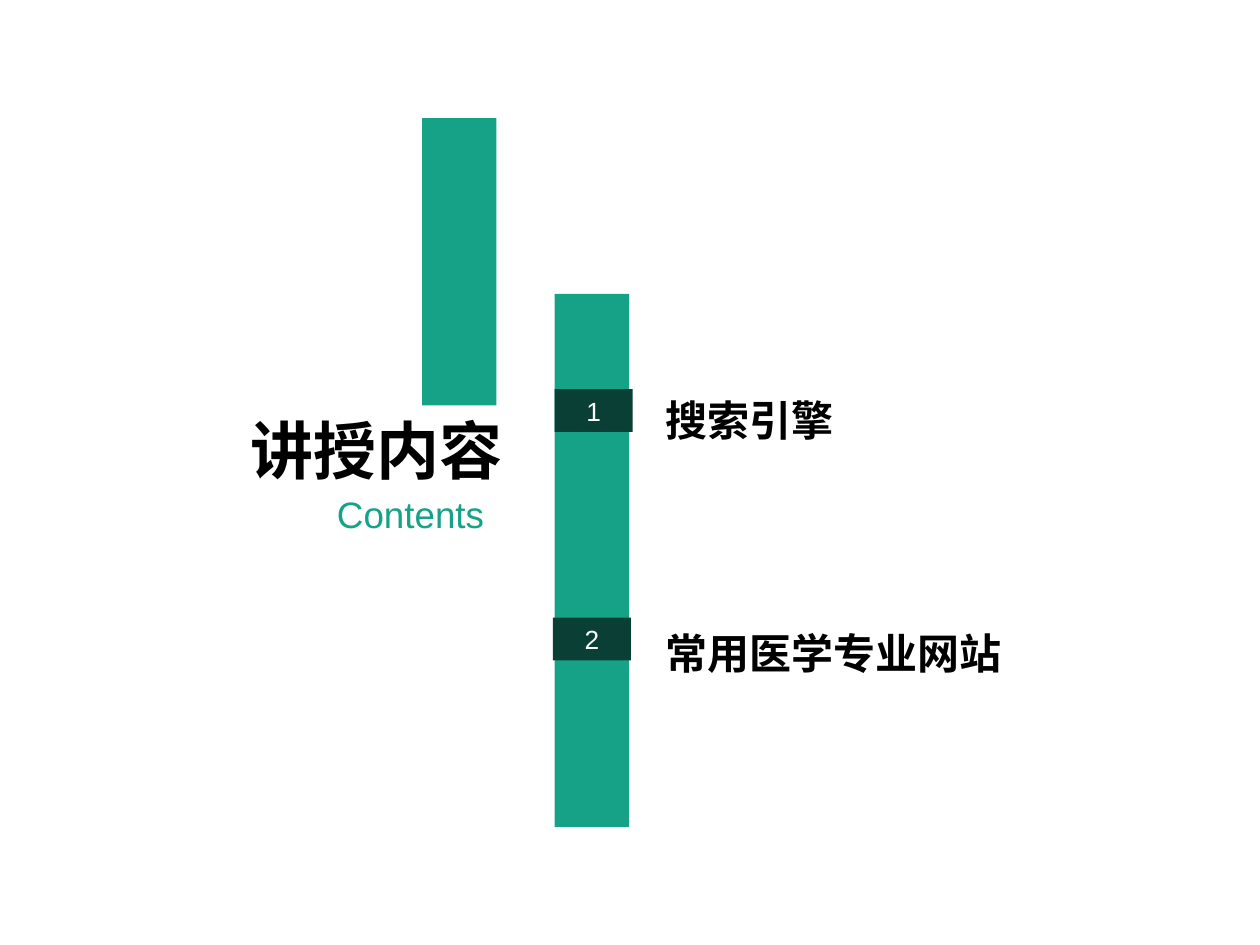
"""Build a contents slide with a two-entry timeline."""
from dataclasses import dataclass

from lxml.etree import SubElement
from pptx import Presentation
from pptx.dml.color import RGBColor
from pptx.enum.shapes import MSO_SHAPE as Preset
from pptx.enum.text import MSO_ANCHOR as Anchor, MSO_AUTO_SIZE as AutoSize, PP_ALIGN as Align
from pptx.oxml.ns import qn
from pptx.shapes.autoshape import Shape
from pptx.slide import Slide
from pptx.util import Pt

GREEN = RGBColor(0x16, 0xA2, 0x87)
DARK_GREEN = RGBColor(0x09, 0x3F, 0x35)
BLACK = RGBColor(0, 0, 0)
WHITE = RGBColor(255, 255, 255)
LATIN_FONT = "Arial"
CHINESE_FONT = "Noto Sans CJK SC"


@dataclass(frozen=True)
class Box:
    left: float
    top: float
    width: float
    height: float

    def lengths(self) -> tuple[Pt, Pt, Pt, Pt]:
        return Pt(self.left), Pt(self.top), Pt(self.width), Pt(self.height)


@dataclass(frozen=True)
class Entry:
    number: str
    text: str
    badge: Box
    label: Box


BARS = (Box(241.2, 67.5, 42.5, 164.2), Box(317, 168, 42.5, 304.6))
ENTRIES = (
    Entry("1", "搜索引擎", Box(317, 222.4, 44.6, 24.4), Box(373, 208.1, 221.8, 41)),
    Entry("2", "常用医学专业网站", Box(315.9, 353, 44.6, 24.4), Box(373, 341.3, 297.4, 44.6)),
)


def place(shape: Shape, box: Box) -> None:
    shape.left, shape.top, shape.width, shape.height = box.lengths()


def write(shape: Shape, text: str, *, size: float, color: RGBColor, font: str = LATIN_FONT,
          bold: bool = False, align: Align = Align.LEFT, anchor: Anchor = Anchor.TOP,
          line_spacing: float = 1.0, top_inset: float = 3.6) -> None:
    frame = shape.text_frame
    frame.word_wrap = True
    frame.auto_size = AutoSize.NONE
    frame.vertical_anchor = anchor
    frame.margin_top = Pt(top_inset)
    paragraph = frame.paragraphs[0]
    paragraph.alignment = align
    paragraph.line_spacing = line_spacing
    paragraph.space_before = Pt(0)
    properties = paragraph._p.get_or_add_pPr()
    properties.set("marL", "0")
    properties.set("indent", "0")
    SubElement(properties, qn("a:buNone"))
    run = paragraph.add_run()
    run.text = text
    run.font.name = font
    run.font.size = Pt(size)
    run.font.bold = bold
    run.font.color.rgb = color
    SubElement(run._r.get_or_add_rPr(), qn("a:ea")).set("typeface", font)


def add_block(slide: Slide, box: Box, color: RGBColor) -> Shape:
    block = slide.shapes.add_shape(Preset.RECTANGLE, *box.lengths())
    block.shadow.inherit = False
    block.fill.solid()
    block.fill.fore_color.rgb = color
    block.line.fill.background()
    return block


def add_entry(slide: Slide, entry: Entry, label: Shape) -> None:
    badge = add_block(slide, entry.badge, DARK_GREEN)
    write(badge, entry.number, size=15, color=WHITE, align=Align.CENTER, anchor=Anchor.MIDDLE)
    place(label, entry.label)
    write(label, entry.text, size=24, color=BLACK, font=CHINESE_FONT, bold=True,
          line_spacing=1.3, top_inset=8.6)


def main() -> None:
    presentation = Presentation()
    presentation.slide_width, presentation.slide_height = Pt(720), Pt(540)
    slide = presentation.slides.add_slide(presentation.slide_layouts.get_by_name("Two Content"))
    title, *labels = slide.placeholders
    for bar in BARS:
        add_block(slide, bar, GREEN)
    place(title, Box(131.8, 231.8, 167, 53.3))
    write(title, "讲授内容", size=36, color=BLACK, font=CHINESE_FONT, bold=True, align=Align.CENTER)
    subtitle = slide.shapes.add_textbox(*Box(100.1, 277.2, 183.6, 32.4).lengths())
    write(subtitle, "Contents", size=21, color=GREEN, align=Align.RIGHT)
    for entry, label in zip(ENTRIES, labels):
        add_entry(slide, entry, label)
    presentation.save("out.pptx")


if __name__ == "__main__":
    main()
